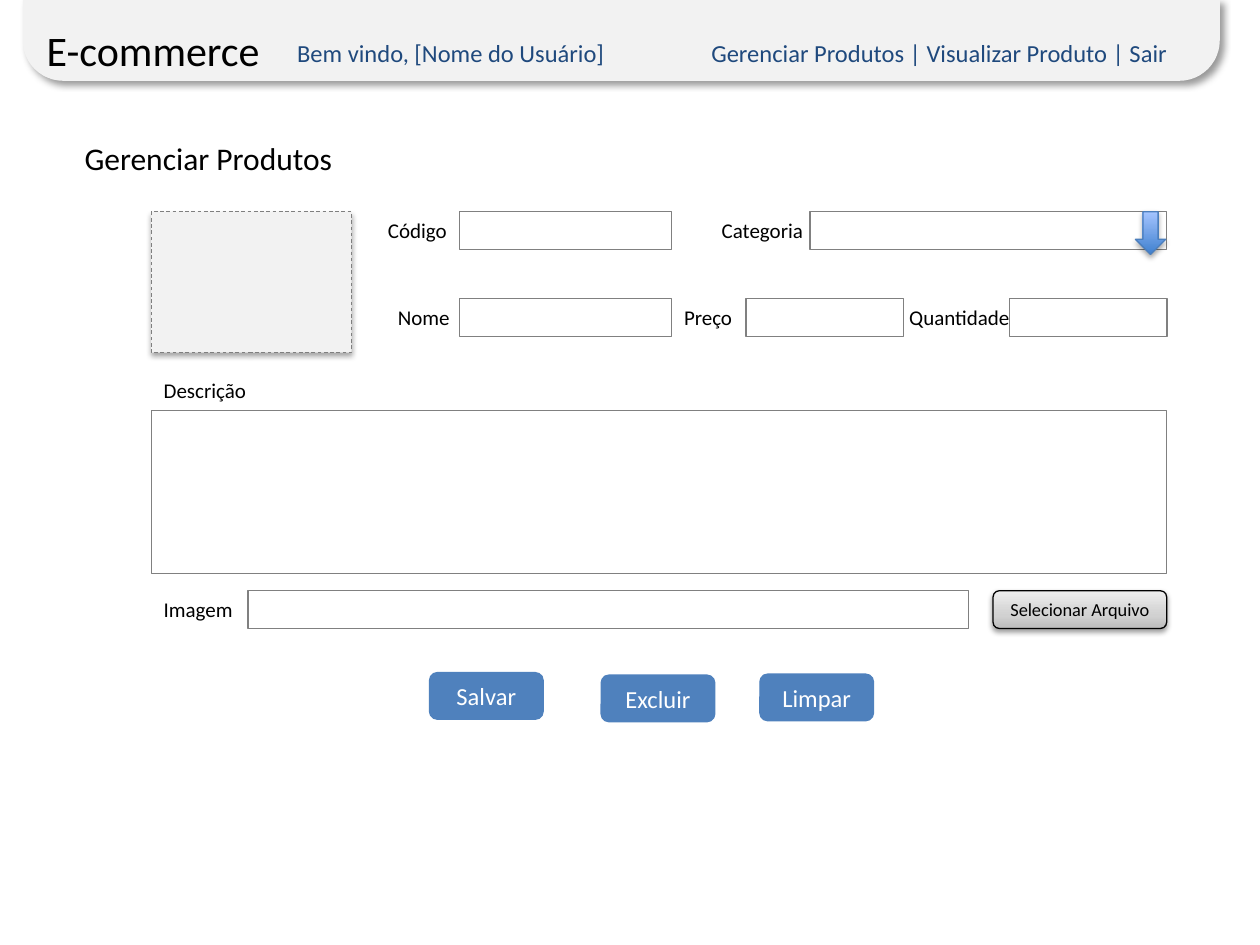
"""Build the product management form slide of an e-commerce site."""
from dataclasses import dataclass

import lxml.etree
import pptx
import pptx.dml.color
import pptx.enum.dml
import pptx.enum.shapes
import pptx.enum.text
import pptx.oxml.ns
import pptx.util

Cm = pptx.util.Cm
Pt = pptx.util.Pt
qn = pptx.oxml.ns.qn
SHAPES = pptx.enum.shapes.MSO_SHAPE
ALIGN = pptx.enum.text.PP_ALIGN
ANCHOR = pptx.enum.text.MSO_ANCHOR

FONT = "Calibri"
BLACK, WHITE, NAVY = "000000", "FFFFFF", "1F497D"
LIGHT_GRAY, FIELD_LINE, BLUE = "F2F2F2", "808080", "4F81BD"
ROW_HEIGHT = 0.76
TOP_ROW, MIDDLE_ROW, IMAGE_ROW = 4.27, 6.02, 11.91
FORM_LEFT, FORM_WIDTH = 3.05, 20.47


@dataclass
class Box:
    left: float
    top: float
    width: float
    height: float = ROW_HEIGHT


@dataclass
class Label:
    text: str
    box: Box
    size: float = 12
    color: str = BLACK


@dataclass
class Shadow:
    opacity: int
    blur: float
    distance: float
    angle: int


LABELS = [
    Label("E-commerce", Box(0.69, 0.36, 5.05, 1.27), 24),
    Label("Código", Box(7.57, TOP_ROW, 1.73)),
    Label("Categoria", Box(14.3, TOP_ROW, 2.18)),
    Label("Nome", Box(7.77, MIDDLE_ROW, 1.57)),
    Label("Preço", Box(13.54, MIDDLE_ROW, 1.5)),
    Label("Quantidade", Box(18.08, MIDDLE_ROW, 2.8)),
    Label("Descrição", Box(FORM_LEFT, 7.49, 2.18)),
    Label("Imagem", Box(FORM_LEFT, IMAGE_ROW, 1.93)),
]
FIELDS = [
    Box(9.27, TOP_ROW, 4.27),
    Box(16.33, TOP_ROW, 7.19),
    Box(9.27, MIDDLE_ROW, 4.27),
    Box(15.04, MIDDLE_ROW, 3.18),
    Box(20.35, MIDDLE_ROW, 3.18),
    Box(FORM_LEFT, 8.28, FORM_WIDTH, 3.28),
    Box(5, IMAGE_ROW, 14.53),
]
BUTTONS = [
    Label("Salvar", Box(8.66, 13.56, 2.29, 0.94), 14, WHITE),
    Label("Excluir", Box(12.12, 13.61, 2.29, 0.94), 14, WHITE),
    Label("Limpar", Box(15.32, 13.59, 2.29, 0.94), 14, WHITE),
]


def rgb(color: str) -> pptx.dml.color.RGBColor:
    return pptx.dml.color.RGBColor.from_string(color)


def lengths(box: Box) -> list:
    return [Cm(value) for value in (box.left, box.top, box.width, box.height)]


def write(shape, label: Label, align=ALIGN.LEFT, anchor=ANCHOR.TOP, wrap=False):
    frame = shape.text_frame
    frame.word_wrap = wrap
    frame.vertical_anchor = anchor
    paragraph = frame.paragraphs[0]
    paragraph.alignment = align
    run = paragraph.add_run()
    run.text = label.text
    run.font.size = Pt(label.size)
    run.font.name = FONT
    run.font.color.rgb = rgb(label.color)
    return paragraph


def add_label(slide, label: Label, wrap=False):
    return write(slide.shapes.add_textbox(*lengths(label.box)), label, wrap=wrap)


def add_shape(slide, kind, box: Box, fill: str, line: str = "", width=0.75):
    shape = slide.shapes.add_shape(kind, *lengths(box))
    shape.shadow.inherit = False
    shape.fill.solid()
    shape.fill.fore_color.rgb = rgb(fill)
    if line:
        shape.line.color.rgb = rgb(line)
        shape.line.width = Pt(width)
    else:
        shape.line.fill.background()
    return shape


def add_color(parent, color: str):
    return lxml.etree.SubElement(parent, qn("a:srgbClr"), val=color)


def add_shadow(shape, shadow: Shadow) -> None:
    effects = shape.element.spPr.find(qn("a:effectLst"))
    outer = lxml.etree.SubElement(
        effects, qn("a:outerShdw"), blurRad=str(Pt(shadow.blur)),
        dist=str(Pt(shadow.distance)), dir=str(shadow.angle * 60000), rotWithShape="0")
    color = add_color(outer, BLACK)
    lxml.etree.SubElement(color, qn("a:alpha"), val=str(shadow.opacity * 1000))


def set_gradient(shape, stops: list[tuple[int, str]]) -> None:
    shape.fill.gradient()
    shape.fill.gradient_angle = 90
    stop_list = shape.element.spPr.find(qn("a:gradFill")).find(qn("a:gsLst"))
    for stop in list(stop_list):
        stop_list.remove(stop)
    for position, color in stops:
        add_color(lxml.etree.SubElement(stop_list, qn("a:gs"), pos=str(position * 1000)), color)


def add_button(slide, label: Label, line: str = BLUE):
    button = add_shape(slide, SHAPES.ROUNDED_RECTANGLE, label.box, BLUE, line)
    write(button, label, ALIGN.CENTER, ANCHOR.MIDDLE)
    return button


def add_header(slide) -> None:
    header = add_shape(slide, SHAPES.ROUND_2_SAME_RECTANGLE, Box(0.46, 0, 24.13, 1.63), LIGHT_GRAY)
    header.adjustments[0] = 0
    header.adjustments[1] = 0.5
    add_shadow(header, Shadow(40, 4, 3, 45))
    menu = Label("Bem vindo, [Nome do Usuário]\tGerenciar Produtos | Visualizar Produto | Sair",
                 Box(5.74, 0.64, 18.21, 0.86), 14, NAVY)
    paragraph = add_label(slide, menu, wrap=True)
    tabs = lxml.etree.SubElement(paragraph._p.get_or_add_pPr(), qn("a:tabLst"))
    lxml.etree.SubElement(tabs, qn("a:tab"), pos=str(Cm(8.35)), algn="l")


def add_title(slide) -> None:
    title = slide.shapes.title
    label = Label("Gerenciar Produtos", Box(1.45, 2.67, 5.59, 1.02), 18)
    title.left, title.top, title.width, title.height = lengths(label.box)
    write(title, label)


def main() -> None:
    presentation = pptx.Presentation()
    presentation.slide_width, presentation.slide_height = Cm(25.4), Cm(19.05)
    slide = presentation.slides.add_slide(presentation.slide_layouts[5])
    soft_shadow = Shadow(35, 3.1, 1.8, 90)
    add_title(slide)
    add_header(slide)
    for label in LABELS:
        add_label(slide, label)
    preview = add_shape(slide, SHAPES.RECTANGLE, Box(FORM_LEFT, TOP_ROW, 4.04, 2.84),
                        LIGHT_GRAY, "7F7F7F", 0.5)
    preview.line.dash_style = pptx.enum.dml.MSO_LINE.DASH
    add_shadow(preview, soft_shadow)
    for field in FIELDS:
        add_shape(slide, SHAPES.RECTANGLE, field, WHITE, FIELD_LINE)
    for button in BUTTONS:
        add_button(slide, button)
    file_button = add_button(
        slide, Label("Selecionar Arquivo", Box(20.02, IMAGE_ROW, 3.5), 10.5), BLACK)
    set_gradient(file_button, [(0, "BDBDBD"), (35, "D1D1D1"), (100, "EEEEEE")])
    add_shadow(file_button, Shadow(38, 3.1, 1.6, 90))
    arrow = add_shape(slide, SHAPES.DOWN_ARROW, Box(22.89, TOP_ROW, 0.61, 0.86), BLUE, "4B7EBC")
    set_gradient(arrow, [(0, "3F80CE"), (100, "A4C4FF")])
    add_shadow(arrow, soft_shadow)
    presentation.save("out.pptx")


if __name__ == "__main__":
    main()
